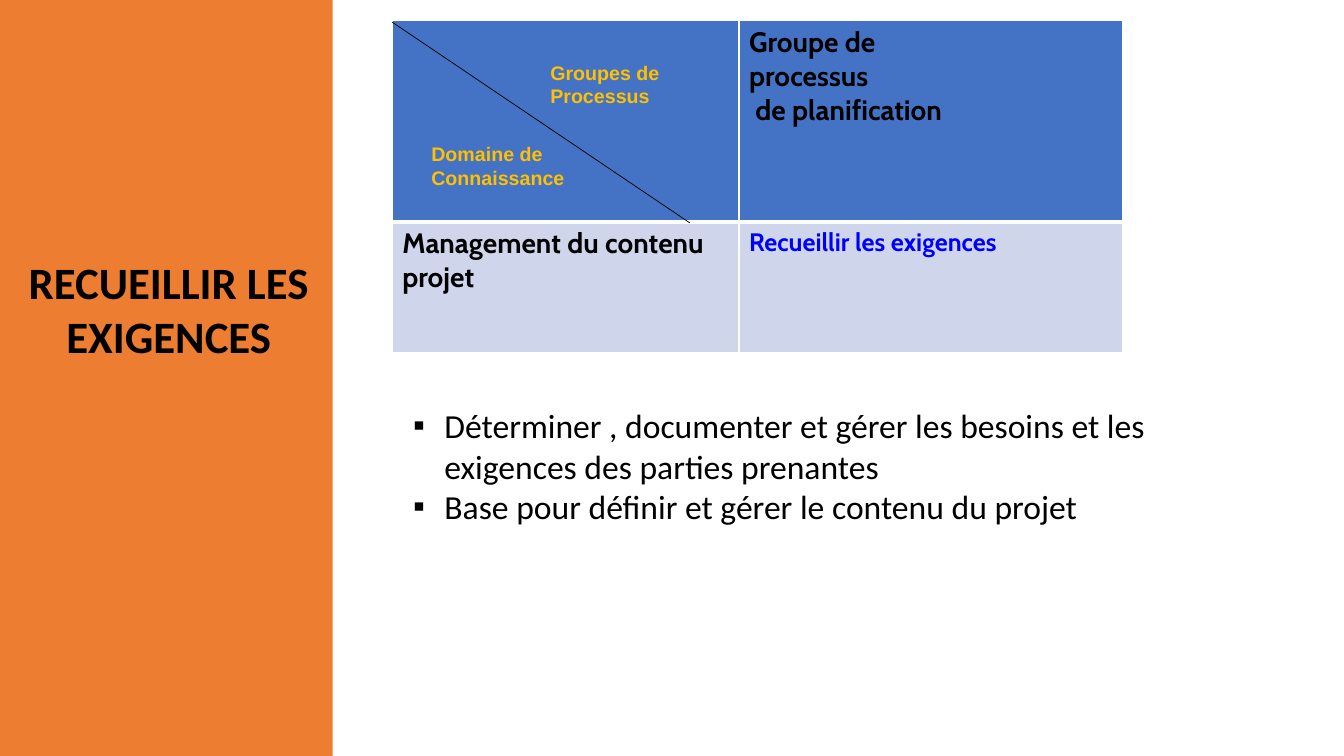
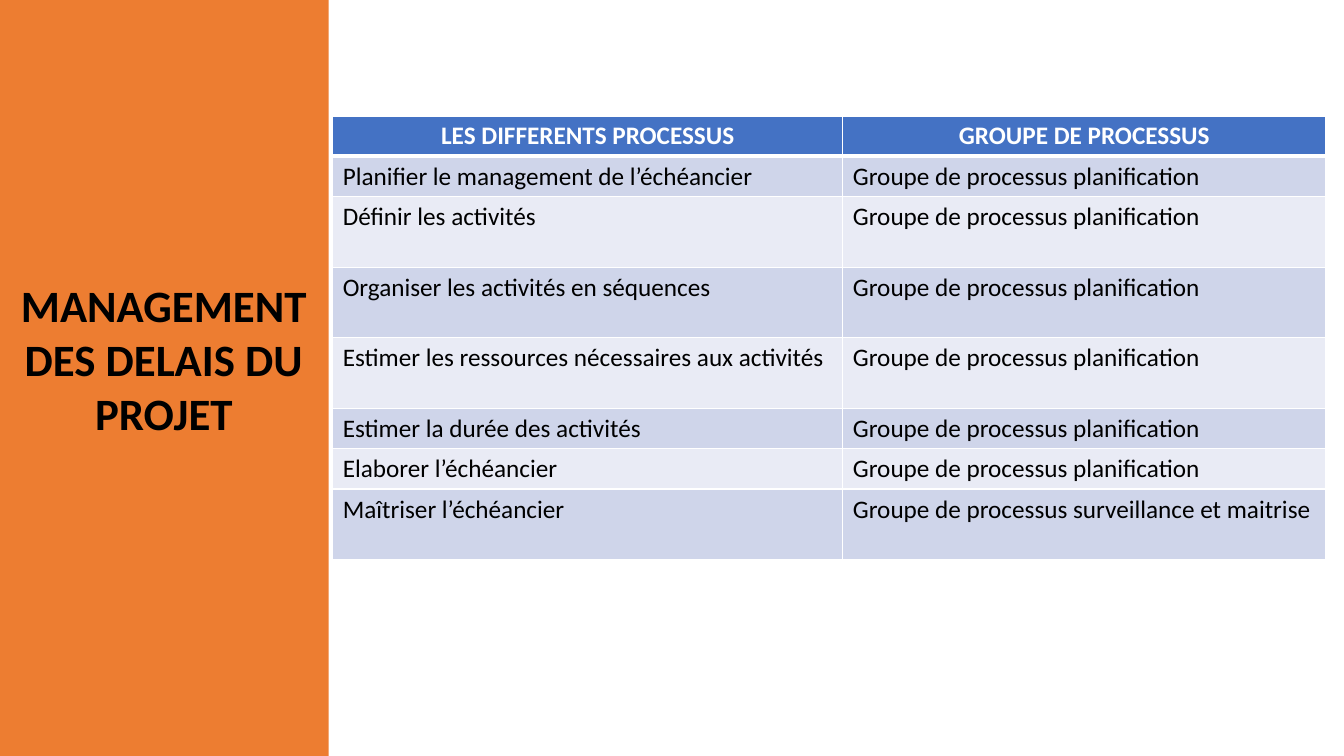
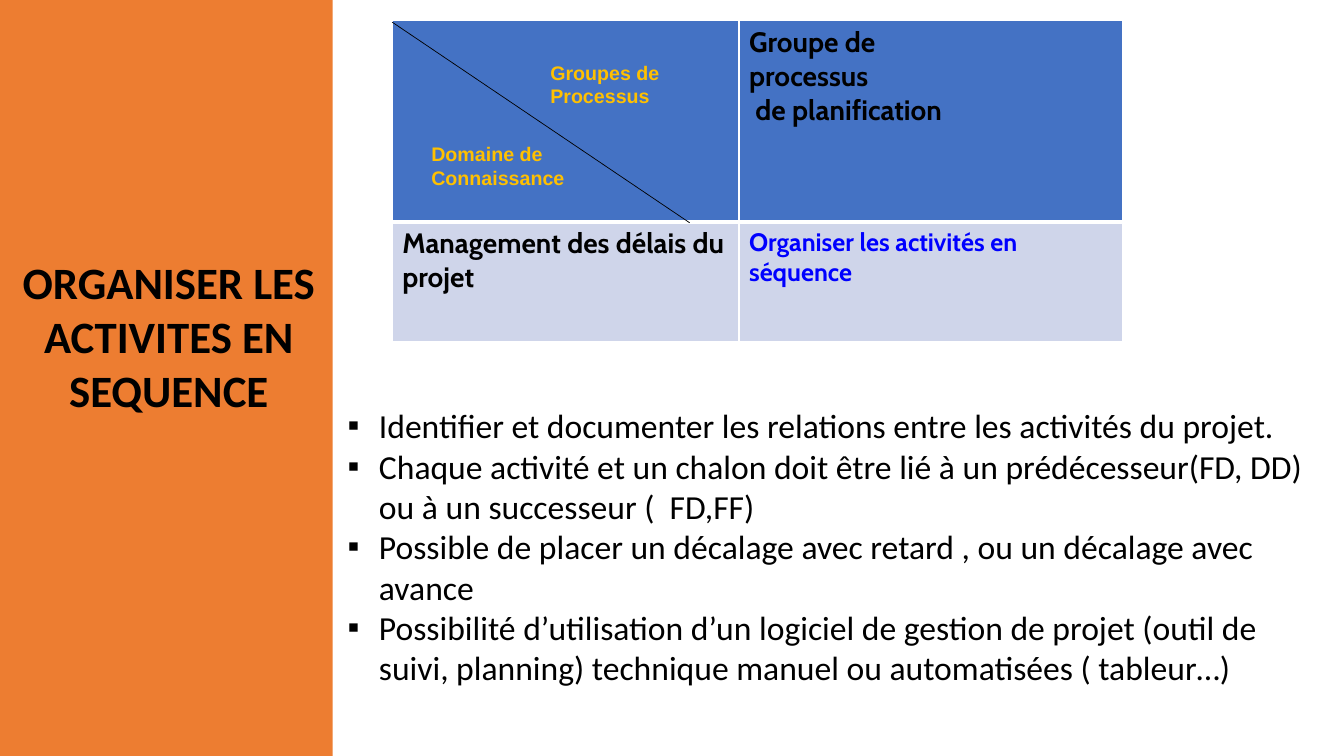
from lxml.etree import SubElement
from pptx import Presentation
from pptx.dml.color import RGBColor
from pptx.enum.shapes import MSO_CONNECTOR, MSO_SHAPE
from pptx.enum.text import MSO_AUTO_SIZE, PP_ALIGN
from pptx.oxml.ns import qn
from pptx.util import Inches, Pt

ORANGE, BLUE, GOLD = "ED7D31", "4472C4", "FFC000"
DARK_ROW, LIGHT_ROW = "CFD5EA", "E9EBF5"
BLACK, WHITE, LINK_BLUE = "000000", "FFFFFF", "0000FF"

TITLE_STYLE = ("Calibri", 32, BLACK, True)
BULLET_STYLE = ("Calibri", 24, BLACK, False)
LABEL_STYLE = ("Arial", 14, GOLD, True)
HEADER_STYLE = ("Calibri", 18, WHITE, True)
BODY_STYLE = ("Calibri", 18, BLACK, False)
DOMAIN_STYLE = ("Cabin", 20, BLACK, True)
PROCESS_STYLE = ("Cabin", 18, LINK_BLUE, True)

GROUP_LINES = ["Groupe de", "processus", " de planification"]
CORNER_LABELS = [
    (["Groupes de", "Processus"], (4.48, 0.55, 2.36, 0.55)),
    (["Domaine de", "Connaissance"], (3.3, 1.36, 2.6, 0.55)),
]

REQUIREMENTS = {
    "title": "RECUEILLIR LES EXIGENCES",
    "title_height": 1.18,
    "domain": "Management du contenu projet",
    "process": "Recueillir les exigences",
    "process_row": 1.3,
    "bullets": [
        "Déterminer , documenter et gérer les besoins et les exigences des parties prenantes",
        "Base pour définir et gérer le contenu du projet",
    ],
    "bullet_box": (4, 3.97, 8.09, 1.32),
}

SEQUENCE = {
    "title": "ORGANISER LES ACTIVITES EN SEQUENCE",
    "title_height": 1.72,
    "domain": "Management des délais du projet",
    "process": "Organiser les activités en séquence",
    "process_row": 1.19,
    "bullets": [
        "Identifier et documenter les relations entre les activités du projet.",
        "Chaque activité et un chalon doit être lié à un prédécesseur(FD, DD) "
        "ou à un successeur (  FD,FF)",
        "Possible de placer un décalage avec retard , ou un décalage avec avance",
        "Possibilité d’utilisation d’un logiciel de gestion de projet "
        "(outil de suivi, planning) technique manuel ou automatisées ( tableur…)",
    ],
    "bullet_box": (3.35, 3.97, 9.88, 3.35),
}

DELAYS_TITLE = "MANAGEMENT DES DELAIS DU PROJET"
DELAYS_HEADERS = ["LES DIFFERENTS PROCESSUS", "GROUPE DE PROCESSUS"]
PLANNING = "Groupe de processus planification"
CONTROL = "Groupe de processus surveillance et maitrise"
SHORT_ROW, TALL_ROW = 0.4, 0.7
DELAYS_ROWS = [
    ("Planifier le management de l’échéancier", PLANNING, SHORT_ROW),
    ("Définir les activités", PLANNING, TALL_ROW),
    ("Organiser les activités en séquences", PLANNING, TALL_ROW),
    ("Estimer les ressources nécessaires aux activités", PLANNING, TALL_ROW),
    ("Estimer la durée des activités", PLANNING, SHORT_ROW),
    ("Elaborer l’échéancier", PLANNING, SHORT_ROW),
    ("Maîtriser l’échéancier", CONTROL, TALL_ROW),
]


def color(value):
    return RGBColor.from_string(value)


def add_run(paragraph, text, style):
    name, size, font_color, bold = style
    run = paragraph.add_run()
    run.text = text
    run.font.name = name
    run.font.size = Pt(size)
    run.font.bold = bold
    run.font.color.rgb = color(font_color)


def indent(paragraph, left, first=0, bullet=None):
    properties = paragraph._p.get_or_add_pPr()
    properties.set("marL", str(Inches(left)))
    properties.set("indent", str(Inches(first)))
    if bullet:
        SubElement(properties, qn("a:buFont")).set("typeface", "Arial")
        SubElement(properties, qn("a:buChar")).set("char", bullet)


def add_text(slide, box, lines, style, align=PP_ALIGN.LEFT, **indents):
    """Add a wrapping text box with one paragraph per line."""
    frame = slide.shapes.add_textbox(*map(Inches, box)).text_frame
    frame.word_wrap = True
    frame.auto_size = MSO_AUTO_SIZE.SHAPE_TO_FIT_TEXT
    for index, line in enumerate(lines):
        paragraph = frame.add_paragraph() if index else frame.paragraphs[0]
        paragraph.alignment = align
        if indents:
            indent(paragraph, **indents)
        add_run(paragraph, line, style)


def add_titled_slide(presentation, title, band_width, title_box):
    slide = presentation.slides.add_slide(presentation.slide_layouts[6])
    band = slide.shapes.add_shape(MSO_SHAPE.RECTANGLE, 0, 0, Inches(band_width), Inches(7.5))
    band.shadow.inherit = False
    band.fill.solid()
    band.fill.fore_color.rgb = color(ORANGE)
    band.line.fill.background()
    add_text(slide, title_box, [title], TITLE_STYLE, PP_ALIGN.CENTER)
    return slide


def set_borders(cell, top, bottom):
    """Draw white borders, 1 point at the sides."""
    properties = cell._tc.get_or_add_tcPr()
    for side, width in (("L", 1), ("R", 1), ("T", top), ("B", bottom)):
        line = SubElement(properties, qn(f"a:ln{side}"), w=str(Pt(width)))
        fill = SubElement(line, qn("a:solidFill"))
        SubElement(fill, qn("a:srgbClr")).set("val", WHITE)


def add_grid(slide, left, top, widths, heights):
    """Add a table with a blue header row and banded body rows."""
    table = slide.shapes.add_table(
        len(heights), len(widths), Inches(left), Inches(top),
        Inches(sum(widths)), Inches(sum(heights))).table
    for column, width in zip(table.columns, widths):
        column.width = Inches(width)
    for index, (row, height) in enumerate(zip(table.rows, heights)):
        row.height = Inches(height)
        fill = BLUE if index == 0 else DARK_ROW if index % 2 else LIGHT_ROW
        for cell in row.cells:
            set_borders(cell, top=3 if index == 1 else 1, bottom=1 if index else 3)
            cell.fill.solid()
            cell.fill.fore_color.rgb = color(fill)
    return table


def fill_cell(cell, lines, style, align=PP_ALIGN.LEFT):
    paragraph = cell.text_frame.paragraphs[0]
    paragraph.alignment = align
    for index, line in enumerate(lines):
        if index:
            paragraph.add_line_break()
        add_run(paragraph, line, style)


def add_process_slide(presentation, content):
    slide = add_titled_slide(presentation, content["title"], 3.3,
                             (0, 2.48, 3.35, content["title_height"]))
    table = add_grid(slide, 3.89, 0.2, [3.44, 3.8], [2, content["process_row"]])
    fill_cell(table.cell(0, 1), GROUP_LINES, DOMAIN_STYLE)
    fill_cell(table.cell(1, 0), [content["domain"]], DOMAIN_STYLE)
    fill_cell(table.cell(1, 1), [content["process"]], PROCESS_STYLE)

    diagonal = slide.shapes.add_connector(
        MSO_CONNECTOR.STRAIGHT, Inches(3.89), Inches(0.22), Inches(6.84), Inches(2.21))
    diagonal.line.color.rgb = color(BLACK)
    diagonal.line.width = Pt(0.5)
    SubElement(diagonal._element.spPr, qn("a:effectLst"))

    for lines, box in CORNER_LABELS:
        add_text(slide, box, lines, LABEL_STYLE, left=0.88)
    add_text(slide, content["bullet_box"], content["bullets"], BULLET_STYLE,
             left=0.31, first=-0.31, bullet="▪")


def add_delays_slide(presentation):
    slide = add_titled_slide(presentation, DELAYS_TITLE, 3.26, (0, 2.71, 3.25, 1.72))
    heights = [SHORT_ROW] + [height for _, _, height in DELAYS_ROWS]
    table = add_grid(slide, 3.3, 1.15, [5.06, 4.79], heights)
    for column, header in enumerate(DELAYS_HEADERS):
        fill_cell(table.cell(0, column), [header], HEADER_STYLE, PP_ALIGN.CENTER)
    for row, (process, group, _) in enumerate(DELAYS_ROWS, start=1):
        fill_cell(table.cell(row, 0), [process], BODY_STYLE)
        fill_cell(table.cell(row, 1), [group], BODY_STYLE)


def main():
    presentation = Presentation()
    presentation.slide_width = Inches(13.33)
    presentation.slide_height = Inches(7.5)
    add_process_slide(presentation, REQUIREMENTS)
    add_delays_slide(presentation)
    add_process_slide(presentation, SEQUENCE)
    presentation.save("out.pptx")


if __name__ == "__main__":
    main()
